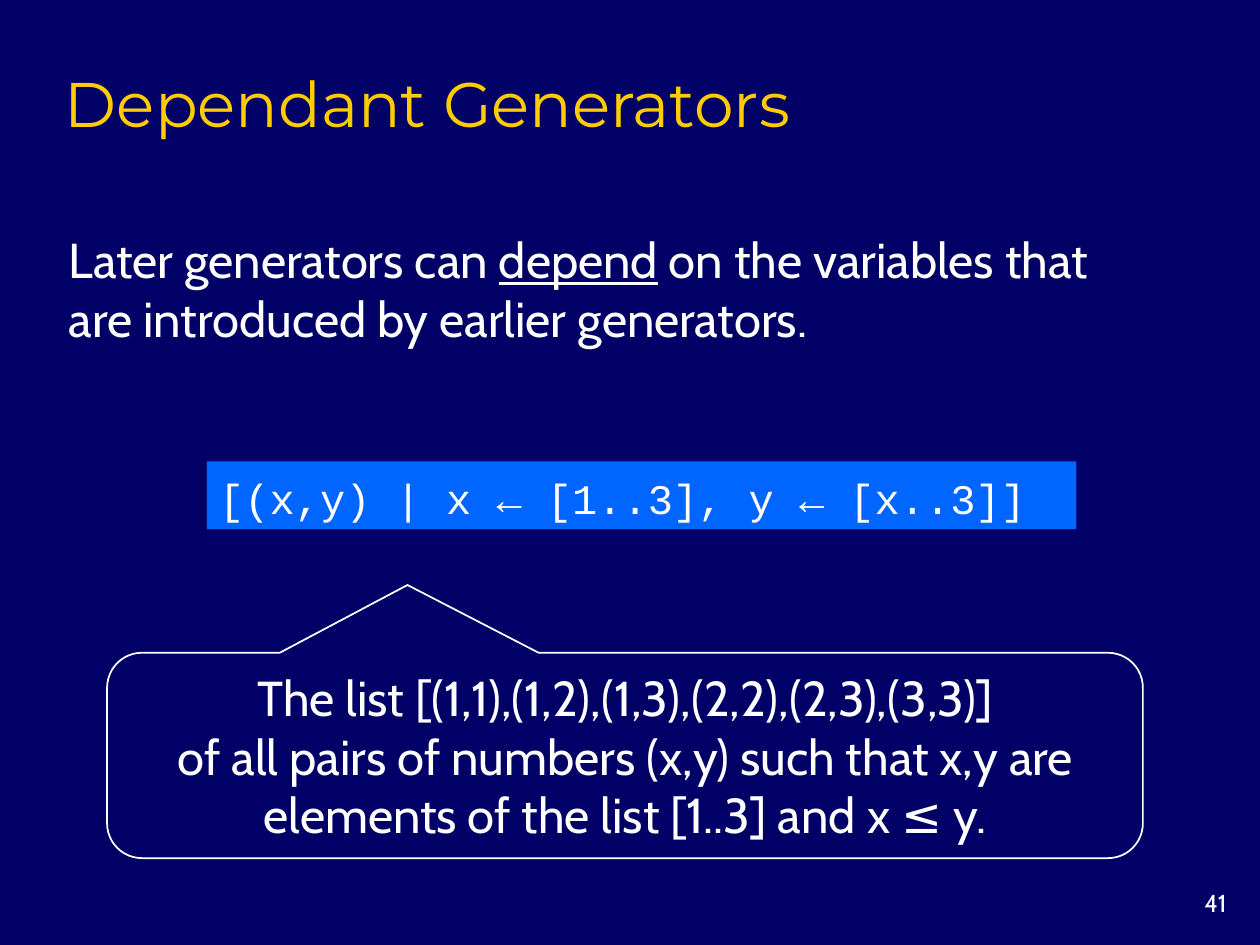
from pptx import Presentation, util as u
from pptx.dml.color import RGBColor
from pptx.enum import shapes, text

Cm = u.Cm
WHITE, GOLD, NAVY, BLUE = "FFFFFF", "FFCC00", "000066", "0066FF"


def color(hex_code):
    return RGBColor.from_string(hex_code)


def write(part, paragraphs, font, size, ink=WHITE, align="LEFT", anchor="MIDDLE"):
    """Fill a part with paragraphs, each a list of (words, underlined) runs."""
    frame = part.text_frame
    frame.word_wrap = True
    frame.vertical_anchor = getattr(text.MSO_ANCHOR, anchor)
    for index, runs in enumerate(paragraphs):
        line = frame.add_paragraph() if index else frame.paragraphs[0]
        line.alignment = getattr(text.PP_ALIGN, align)
        for words, underlined in runs:
            run = line.add_run()
            run.text = words
            run.font.color.rgb = color(ink)
            looks = {"name": font, "size": u.Pt(size), "underline": underlined}
            for key, value in looks.items():
                setattr(run.font, key, value)


deck = Presentation()
deck.slide_width, deck.slide_height = Cm(25.4), Cm(19.05)
slide = deck.slides.add_slide(deck.slide_layouts[6])
slide.background.fill.solid()
slide.background.fill.fore_color.rgb = color(NAVY)

# Page number
page_number = slide.shapes.add_textbox(Cm(23.28), Cm(17.78), Cm(1.7), Cm(0.85))
write(page_number, [[("41", False)]], "Cabin", 14, align="RIGHT", anchor="TOP")

# Title
title = slide.shapes.add_textbox(Cm(1.06), Cm(1.06), Cm(21.6), Cm(1.9))
write(title, [[("Dependant Generators", False)]], "Montserrat", 36, GOLD, anchor="BOTTOM")

# Statement
statement = slide.shapes.add_textbox(Cm(1.14), Cm(4.5), Cm(22.5), Cm(2.62))
write(statement, [[
    ("Later generators can ", False),
    ("depend", True),
    (" on the variables that are introduced by earlier generators.", False),
]], "Cabin", 28)

# List comprehension
comprehension = slide.shapes.add_shape(
    shapes.MSO_SHAPE.RECTANGLE, Cm(4.17), Cm(9.3), Cm(17.53), Cm(1.37))
comprehension.shadow.inherit = False
comprehension.fill.solid()
comprehension.fill.fore_color.rgb = color(BLUE)
comprehension.line.fill.background()
write(comprehension, [[("[(x,y) | x ← [1..3], y ← [x..3]]", False)]], "Courier New", 24)
comprehension.text_frame.paragraphs[0].line_spacing = 1.1

# Explanation pointing up at the comprehension
explanation = slide.shapes.add_shape(
    shapes.MSO_SHAPE.ROUNDED_RECTANGULAR_CALLOUT, Cm(2.16), Cm(13.16), Cm(20.88), Cm(4.14))
for index, value in enumerate((-0.21, -0.83, 0.17)):
    explanation.adjustments[index] = value
explanation.shadow.inherit = False
explanation.fill.background()
explanation.line.color.rgb = color(WHITE)
explanation.line.width = u.Pt(1)
write(explanation, [
    [("The list [(1,1),(1,2),(1,3),(2,2),(2,3),(3,3)]", False)],
    [("of all pairs of numbers (x,y) such that x,y are "
      "elements of the list [1..3] and x ≤ y.", False)],
], "Cabin", 28, align="CENTER")

deck.save("out.pptx")
